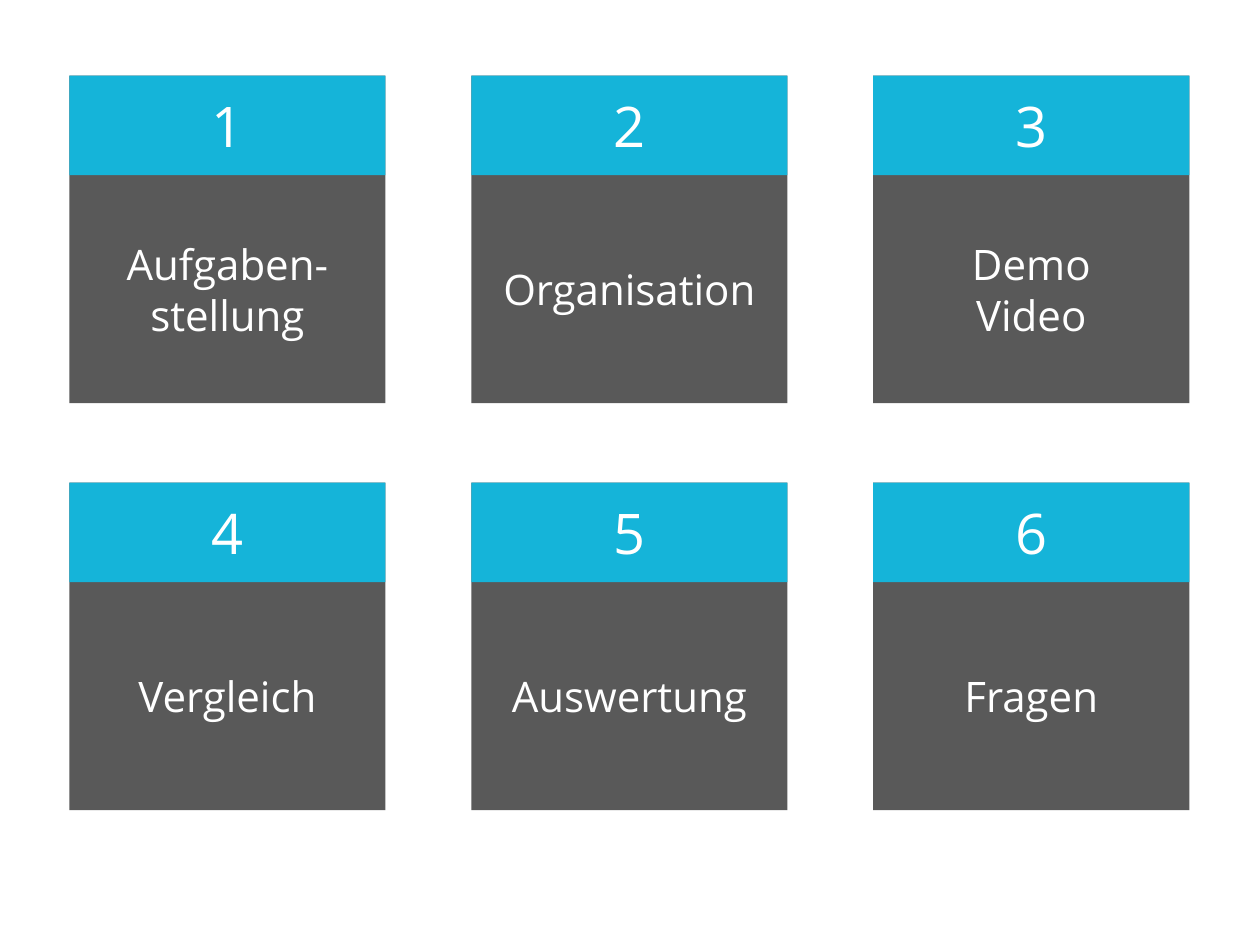
"""Build the agenda slide: six numbered topic cards in a grid."""
from dataclasses import dataclass

from pptx import Presentation
from pptx.dml.color import RGBColor
from pptx.enum.shapes import MSO_SHAPE
from pptx.enum.text import MSO_ANCHOR, PP_ALIGN
from pptx.util import Inches, Pt

TOPICS = [
    ["Aufgaben-", "stellung"],
    ["Organisation"],
    ["Demo", "Video"],
    ["Vergleich"],
    ["Auswertung"],
    ["Fragen"],
]


@dataclass(frozen=True)
class Theme:
    font: str = "Open Sans"
    text: RGBColor = RGBColor(0xFF, 0xFF, 0xFF)
    card: RGBColor = RGBColor(0x59, 0x59, 0x59)
    band: RGBColor = RGBColor(0x15, 0xB4, 0xD9)
    topic_size: Pt = Pt(24)
    number_size: Pt = Pt(32)


THEME = Theme()
COLUMNS = 3
LEFT, TOP = Inches(0.55), Inches(0.6)
COLUMN_STEP, ROW_STEP = Inches(3.19), Inches(3.23)
CARD_WIDTH, CARD_HEIGHT = Inches(2.51), Inches(2.6)
BAND_HEIGHT = Inches(0.79)


def add_panel(shapes, left, top, height, color, lines, size, top_inset=0):
    panel = shapes.add_shape(MSO_SHAPE.RECTANGLE, left, top, CARD_WIDTH, height)
    panel.shadow.inherit = False
    panel.fill.solid()
    panel.fill.fore_color.rgb = color
    panel.line.fill.background()
    frame = panel.text_frame
    frame.word_wrap = True
    frame.vertical_anchor = MSO_ANCHOR.MIDDLE
    frame.margin_top, frame.margin_bottom = top_inset, 0
    frame.text = "\n".join(lines)
    for paragraph in frame.paragraphs:
        paragraph.alignment = PP_ALIGN.CENTER
        paragraph.font.name = THEME.font
        paragraph.font.size = size
        paragraph.font.color.rgb = THEME.text


presentation = Presentation()
presentation.slide_width, presentation.slide_height = Inches(10), Inches(7.5)
slide = presentation.slides.add_slide(presentation.slide_layouts[6])

for index, topic in enumerate(TOPICS):
    row, column = divmod(index, COLUMNS)
    left, top = LEFT + column * COLUMN_STEP, TOP + row * ROW_STEP
    card = slide.shapes.add_group_shape().shapes
    add_panel(card, left, top, CARD_HEIGHT, THEME.card, topic,
              THEME.topic_size, BAND_HEIGHT)
    add_panel(card, left, top, BAND_HEIGHT, THEME.band, [str(index + 1)],
              THEME.number_size)

presentation.save("out.pptx")
